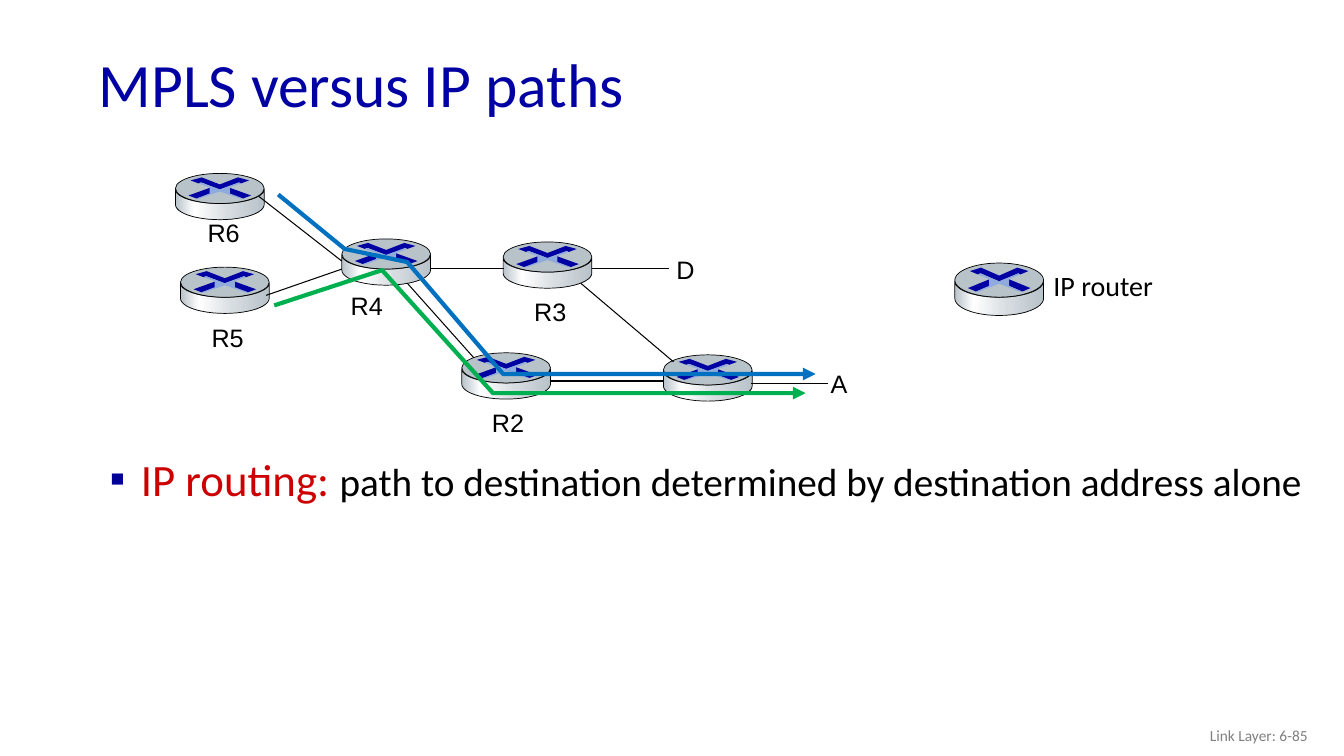
from dataclasses import dataclass
from math import cos, pi, sin

from lxml.etree import SubElement
from pptx import Presentation
from pptx.dml.color import RGBColor
from pptx.enum.shapes import MSO_CONNECTOR, MSO_SHAPE
from pptx.enum.text import MSO_ANCHOR, MSO_AUTO_SIZE, PP_ALIGN
from pptx.oxml.ns import qn
from pptx.util import Inches, Pt


@dataclass(frozen=True)
class Theme:
    head: str = "Calibri"
    label: str = "Arial"
    black: str = "000000"
    navy: str = "0000A3"
    bullet: str = "000099"
    red: str = "CC0000"
    gray: str = "808080"
    steel: str = "B8C2C9"
    light: str = "8FAADC"
    blue: str = "0070C0"
    green: str = "00B050"
    shine: tuple = ((0, "B8C2C9"), (21, "FFFFFF"), (60, "D6DCE0"), (100, "B8C2C9"))
    title: int = 44
    term: int = 32
    body: int = 28
    key: int = 20
    node: int = 18
    foot: int = 11


THEME = Theme()
WIDE, TALL = 0.88, 0.46
CROSS = [(0.62, 0.04), (0.73, 0.07), (0.65, 0.1), (0.63, 0.09), (0.44, 0.16),
         (0.26, 0.09), (0.23, 0.1), (0.15, 0.07), (0.26, 0.04), (0.44, 0.11)]
WING = [(0.53, 0.14), (0.75, 0.22), (0.67, 0.25), (0.53, 0.2)]
GLOW = [(0.44, 0.16), (0.63, 0.09), (0.65, 0.1), (0.54, 0.14), (0.54, 0.2),
        (0.67, 0.25), (0.64, 0.25), (0.44, 0.18)]

ROUTERS = [(1.89, 0.87), (3.49, 0.9), (3.08, 2), (5.08, 2.02), (0.24, 0.22), (0.29, 1.15)]
LINKS = [(1.07, 0.45, 1.89, 1.09), (1.14, 1.43, 1.89, 1.17), (2.77, 1.16, 3.5, 1.16),
         (2.54, 1.31, 3.2, 2.05), (3.95, 2.28, 5.08, 2.28), (4.26, 1.31, 5.18, 2.09),
         (5.95, 2.3, 6.71, 2.3), (4.37, 1.16, 5.14, 1.16)]
LABELS = [("R2", 3.28, 2.49), ("D", 5.11, 0.97), ("R3", 3.7, 1.39), ("R5", 0.5, 1.65),
          ("A", 6.64, 2.1), ("R6", 0.46, 0.61), ("R4", 1.88, 1.33)]
ROUTES = [(THEME.blue, [(1.26, 0.43), (1.92, 0.97), (2.54, 1.1), (3.49, 2.21), (6.59, 2.21)]),
          (THEME.green, [(1.22, 1.53), (2.29, 1.18), (3.39, 2.4), (6.49, 2.4)])]


def ink(font, size, color):
    font.size = Pt(size)
    font.color.rgb = RGBColor.from_string(color)


def paint(shape, fill=None, line=None, width=0.5):
    shape.shadow.inherit = False
    if fill:
        shape.fill.solid()
        shape.fill.fore_color.rgb = RGBColor.from_string(fill)
    else:
        shape.fill.background()
    if line:
        shape.line.color.rgb = RGBColor.from_string(line)
        shape.line.width = Pt(width)
    else:
        shape.line.fill.background()


def trace(shapes, points, close=True):
    spots = [(Inches(x), Inches(y)) for x, y in points]
    pen = shapes.build_freeform(*spots[0])
    pen.add_line_segments(spots[1:], close=close)
    return pen.convert_to_shape()


def frame(slide, box, anchor=MSO_ANCHOR.TOP, wrap=True):
    area = slide.shapes.add_textbox(*map(Inches, box)).text_frame
    area.word_wrap = wrap
    area.vertical_anchor = anchor
    if not wrap:
        area.auto_size = MSO_AUTO_SIZE.SHAPE_TO_FIT_TEXT
    return area


def write(slide, box, text, name, size, color, anchor=MSO_ANCHOR.TOP, wrap=True):
    para = frame(slide, box, anchor, wrap).paragraphs[0]
    para.text = text
    para.font.name = name
    ink(para.font, size, color)
    return para


def shade(shape):
    shape.fill.gradient()
    shape.fill.gradient_angle = 0
    stops = shape.fill._xPr.find(qn("a:gradFill")).find(qn("a:gsLst"))
    for stop in list(stops):
        stops.remove(stop)
    for place, color in THEME.shine:
        stop = SubElement(stops, qn("a:gs"), pos=str(place * 1000))
        SubElement(stop, qn("a:srgbClr"), val=color)


def router(slide, box):
    left, top, width, height = box
    shapes = slide.shapes.add_group_shape().shapes

    def fit(points):
        return [(left + x * width / WIDE, top + y * height / TALL) for x, y in points]

    def flip(points):
        return [(WIDE - x, y) for x, y in points]

    def arc(mid, rise):
        turns = [pi * step / 24 for step in range(25)]
        return [(WIDE / 2 * (1 + cos(turn)), mid + rise * sin(turn)) for turn in turns]

    side = trace(shapes, fit(arc(0.31, 0.15) + arc(0.16, 0.14)[::-1]))
    paint(side, THEME.steel, THEME.black)
    shade(side)
    lid = shapes.add_shape(MSO_SHAPE.OVAL, Inches(left), Inches(top),
                           Inches(width), Inches(height * 0.65))
    paint(lid, THEME.steel, THEME.black)
    for points, color in ((CROSS, THEME.navy), (WING, THEME.navy), (flip(WING), THEME.navy),
                          (GLOW + flip(GLOW)[::-1], THEME.light)):
        paint(trace(shapes, fit(points)), color)


def network(slide, box):
    left, top = box[:2]
    for x, y in ROUTERS:
        router(slide, (left + x, top + y, WIDE, TALL))
    for x, y, end, low in LINKS:
        link = slide.shapes.add_connector(
            MSO_CONNECTOR.STRAIGHT, Inches(left + x), Inches(top + y),
            Inches(left + end), Inches(top + low))
        link.line.color.rgb = RGBColor.from_string(THEME.black)
        link.line.width = Pt(0.75)
        SubElement(link._element.spPr, qn("a:effectLst"))
    for text, x, y in LABELS:
        write(slide, (left + x, top + y, 0.52 if len(text) > 1 else 0.38, 0.4),
              text, THEME.label, THEME.node, THEME.black, wrap=False)
    for color, points in ROUTES:
        route = trace(slide.shapes, [(left + x, top + y) for x, y in points], False)
        paint(route, line=color, width=3)
        SubElement(route.line._get_or_add_ln(), qn("a:tailEnd"), type="triangle")


def legend(slide, box):
    left, top, width, height = box
    router(slide, (left, top, WIDE, height))
    write(slide, (left + WIDE, top, width - WIDE, 0.44), "IP router",
          THEME.head, THEME.key, THEME.black, wrap=False)


def title(slide, box):
    para = write(slide, box, "MPLS versus IP paths", THEME.head, THEME.title,
                 THEME.navy, MSO_ANCHOR.MIDDLE)
    para.line_spacing = 0.9


def body(slide, box):
    para = frame(slide, box).paragraphs[0]
    props = para._p.get_or_add_pPr()
    props.set("marL", str(Inches(0.31)))
    props.set("indent", str(Inches(-0.31)))
    tint = SubElement(props, qn("a:buClr"))
    SubElement(tint, qn("a:srgbClr"), val=THEME.bullet)
    SubElement(props, qn("a:buFont"), typeface=THEME.label)
    SubElement(props, qn("a:buChar"), char="▪")
    para.line_spacing = 0.85
    para.font.name = THEME.head
    for text, size, color in (
            ("IP routing: ", THEME.term, THEME.red),
            ("path to destination determined by destination address alone",
             THEME.body, THEME.black)):
        run = para.add_run()
        run.text = text
        ink(run.font, size, color)


def footer(slide, box):
    para = write(slide, box, "Link Layer: 6-85", THEME.head, THEME.foot,
                 THEME.gray, MSO_ANCHOR.MIDDLE)
    para.alignment = PP_ALIGN.RIGHT


def main():
    deck = Presentation()
    deck.slide_width, deck.slide_height = Inches(13.33), Inches(7.5)
    slide = deck.slides.add_slide(deck.slide_layouts[6])
    title(slide, (0.88, 0.38, 11.5, 0.98))
    network(slide, (1.5, 1.5, 7, 2.9))
    legend(slide, (9.47, 2.61, 2.08, 0.52))
    body(slide, (0.99, 4.51, 12.17, 0.62))
    footer(slide, (10.07, 7.1, 3, 0.4))
    deck.save("out.pptx")


if __name__ == "__main__":
    main()
